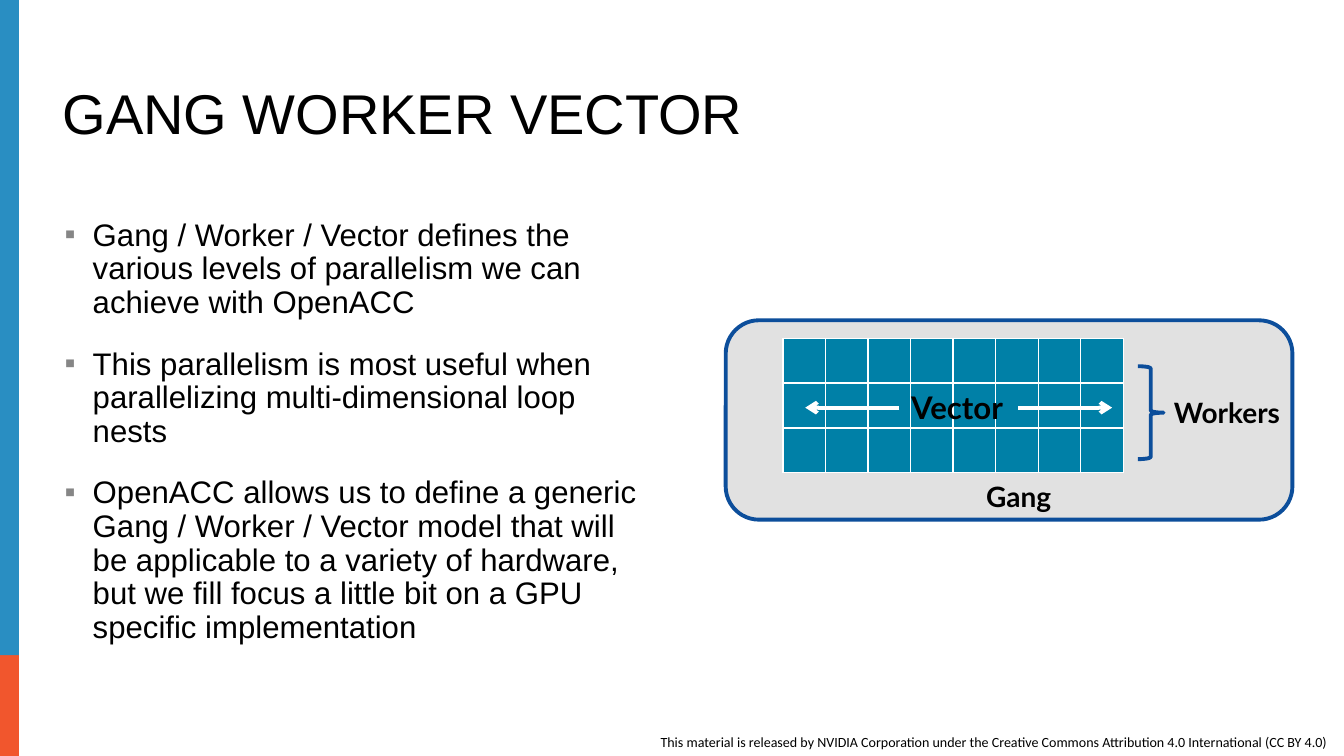
"""Build the slide that explains gang, worker and vector parallelism."""
import dataclasses

import lxml.etree
import pptx
import pptx.dml.color
import pptx.enum.shapes
import pptx.enum.text
import pptx.oxml.ns
import pptx.util

Inches = pptx.util.Inches
Pt = pptx.util.Pt
qn = pptx.oxml.ns.qn
SHAPES = pptx.enum.shapes.MSO_SHAPE
ALIGN = pptx.enum.text.PP_ALIGN
ANCHOR = pptx.enum.text.MSO_ANCHOR


@dataclasses.dataclass(frozen=True)
class Theme:
    text: str = "000000"
    bullet: str = "868686"
    bar: str = "298EC2"
    bar_end: str = "F1562D"
    panel: str = "E1E1E1"
    outline: str = "0C4E9B"
    cell: str = "0080A7"
    grid: str = "FFFFFF"
    body_font: str = "Arial"
    label_font: str = "Lato"
    footer_font: str = "Calibri"
    title_size: int = 36
    body_size: int = 20
    label_size: int = 18
    footer_size: int = 9
    line_width: float = 2.5
    grid_width: int = 1


def rgb(value):
    return pptx.dml.color.RGBColor.from_string(value)


def box(left, top, width, height):
    return Inches(left), Inches(top), Inches(width), Inches(height)


def add_xml(parent, tag, **attributes):
    return lxml.etree.SubElement(parent, qn(tag), attributes)


class SlideBuilder:
    def __init__(self, slide, theme):
        self.s = slide
        self.theme = theme

    def shape(self, kind, place, fill=None, line=None):
        sp = self.s.shapes.add_shape(kind, *box(*place))
        sp.shadow.inherit = False
        if fill:
            sp.fill.solid()
            sp.fill.fore_color.rgb = rgb(fill)
        else:
            sp.fill.background()
        if line:
            sp.line.color.rgb = rgb(line)
            sp.line.width = Pt(self.theme.line_width)
        else:
            sp.line.fill.background()

    def text(self, lines, place, font, size, bold=False, align=ALIGN.LEFT,
             anchor=ANCHOR.TOP, spacing=1.0):
        tf = self.s.shapes.add_textbox(*box(*place)).text_frame
        tf.word_wrap = True
        tf.vertical_anchor = anchor
        tf.text = "\n".join(lines)
        for p in tf.paragraphs:
            p.alignment = align
            p.line_spacing = spacing
            for r in p.runs:
                r.font.name = font
                r.font.size = Pt(size)
                r.font.bold = bold
                r.font.color.rgb = rgb(self.theme.text)
        return tf

    def label(self, text, place, size):
        self.text([text], place, self.theme.label_font, size, True, ALIGN.CENTER)

    def bullets(self, lines, place):
        tf = self.text(lines, place, self.theme.body_font, self.theme.body_size,
                       spacing=0.9)
        for i, p in enumerate(tf.paragraphs):
            p.space_before = Pt(9 if i else 0)
            p.space_after = Pt(9)
            pPr = p._p.get_or_add_pPr()
            pPr.set("marL", str(Inches(0.25)))
            pPr.set("indent", str(-Inches(0.25)))
            add_xml(add_xml(pPr, "a:buClr"), "a:srgbClr", val=self.theme.bullet)
            add_xml(pPr, "a:buFont", typeface=self.theme.body_font)
            add_xml(pPr, "a:buChar", char="▪")

    def grid(self, rows, columns, place):
        table = self.s.shapes.add_table(rows, columns, *box(*place)).table
        table.first_row = False
        table.horz_banding = False
        for cell in table.iter_cells():
            tcPr = cell._tc.get_or_add_tcPr()
            for side in ("a:lnL", "a:lnR", "a:lnT", "a:lnB"):
                ln = add_xml(tcPr, side, w=str(Pt(self.theme.grid_width)))
                add_xml(add_xml(ln, "a:solidFill"), "a:srgbClr", val=self.theme.grid)
            cell.fill.solid()
            cell.fill.fore_color.rgb = rgb(self.theme.cell)

    def arrow(self, start, end, y):
        sp = self.s.shapes.add_connector(
            pptx.enum.shapes.MSO_CONNECTOR.STRAIGHT, *box(start, y, end, y))
        sp.line.color.rgb = rgb(self.theme.grid)
        sp.line.width = Pt(self.theme.line_width)
        add_xml(sp.line._get_or_add_ln(), "a:tailEnd", type="arrow")
        add_xml(sp._element.spPr, "a:effectLst")


def main():
    prs = pptx.Presentation()
    prs.slide_width = Inches(12)
    prs.slide_height = Inches(6.75)
    theme = Theme()
    b = SlideBuilder(prs.slides.add_slide(prs.slide_layouts[6]), theme)

    b.text(["This material is released by NVIDIA Corporation under the Creative "
            "Commons Attribution 4.0 International (CC BY 4.0)"],
           (5.8, 6.5, 6.2, 0.25), theme.footer_font, theme.footer_size)
    b.shape(SHAPES.RECTANGLE, (0, 5.85, 0.17, 0.9), theme.bar_end)
    b.shape(SHAPES.RECTANGLE, (0, 0, 0.17, 5.85), theme.bar)

    b.text(["GANG WORKER VECTOR"], (0.46, 0.71, 10.91, 0.65), theme.body_font,
           theme.title_size, anchor=ANCHOR.BOTTOM, spacing=0.9)
    b.bullets([
        "Gang / Worker / Vector defines the various levels of parallelism we can "
        "achieve with OpenACC",
        "This parallelism is most useful when parallelizing multi-dimensional "
        "loop nests",
        "OpenACC allows us to define a generic Gang / Worker / Vector model that "
        "will be applicable to a variety of hardware, but we fill focus a little "
        "bit on a GPU specific implementation",
    ], (0.48, 1.91, 5.47, 4.07))

    b.shape(SHAPES.ROUNDED_RECTANGLE, (6.48, 2.86, 5.06, 1.78), theme.panel,
            theme.outline)
    b.shape(SHAPES.RIGHT_BRACE, (10.16, 3.27, 0.23, 0.83), line=theme.outline)
    b.label("Workers", (10.28, 3.48, 1.35, 0.4), theme.label_size)
    b.label("Gang", (8.22, 4.23, 1.75, 0.4), theme.label_size)
    b.grid(3, 8, (6.99, 3.02, 3.04, 1.2))
    b.label("Vector", (7, 3.42, 3.09, 0.44), theme.body_size)
    for start, end in ((9.09, 9.93), (8.03, 7.19)):
        b.arrow(start, end, 3.64)

    prs.save("out.pptx")


if __name__ == "__main__":
    main()
